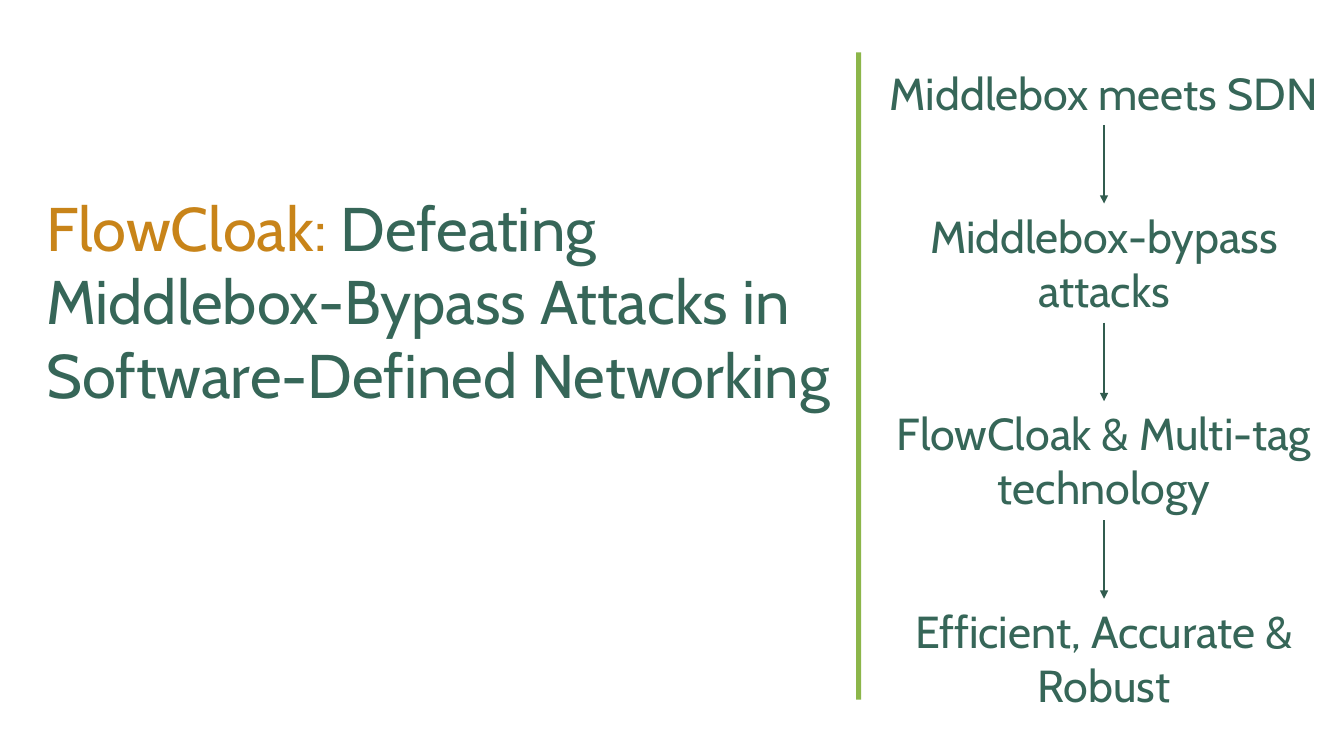
"""Builds the FlowCloak summary slide."""
from itertools import pairwise

from lxml import etree
from pptx import Presentation
from pptx import util as u
from pptx.dml.color import RGBColor
from pptx.enum import shapes, text
from pptx.oxml.ns import qn

HUES = {"green": "366658", "gold": "C88419", "lime": "8CB64A", "dark": "315C4F"}


def hue(name):
    return RGBColor.from_string(HUES[name])


def write(para, words, size=32, color="green", font="Cabin"):
    for i, line in enumerate(words.split("\n")):
        if i:
            para.add_line_break()
        run = para.add_run()
        run.text = line
        run.font.size = u.Pt(size)
        run.font.name = font
        run.font.color.rgb = hue(color)


class Board:
    def __init__(self, slide, size=32):
        self.slide = slide
        self.size = size

    def label(self, box, parts, size=None, align=text.PP_ALIGN.LEFT):
        frame = self.slide.shapes.add_textbox(*map(u.Inches, box)).text_frame
        frame.word_wrap = True
        frame.auto_size = text.MSO_AUTO_SIZE.SHAPE_TO_FIT_TEXT
        para = frame.paragraphs[0]
        para.alignment = align
        for words, color in parts:
            write(para, words, size=size or self.size, color=color)

    def bar(self, box, color):
        bar = self.slide.shapes.add_shape(
            shapes.MSO_SHAPE.RECTANGLE, *map(u.Inches, box))
        bar.shadow.inherit = False
        bar.fill.solid()
        bar.fill.fore_color.rgb = hue(color)
        bar.line.fill.background()

    def arrow(self, x, top, end, color="dark"):
        link = self.slide.shapes.add_connector(
            shapes.MSO_CONNECTOR.STRAIGHT, *map(u.Inches, (x, top, x, end)))
        link.line.color.rgb = hue(color)
        link.line.width = u.Pt(1)
        line = link.line._get_or_add_ln()
        etree.SubElement(line, qn("a:tailEnd"), type="triangle")
        etree.SubElement(link._element.spPr, qn("a:effectLst"))


def main():
    deck = Presentation()
    deck.slide_width, deck.slide_height = u.Inches(13.33), u.Inches(7.5)
    board = Board(deck.slides.add_slide(deck.slide_layouts[6]))

    board.bar((8.49, 0.52, 0.05, 6.42), "lime")
    board.label((0.36, 1.83, 8.1, 2.32), [
        ("FlowCloak: ", "gold"),
        ("Defeating\nMiddlebox-Bypass Attacks in\nSoftware-Defined Networking",
         "green"),
    ], size=44)

    left, wide, tall, gap = 8.68, 4.54, 1.18, 0.78
    steps = [("Middlebox meets SDN", 0.6, 0.64)]
    for words in ("Middlebox-bypass attacks", "FlowCloak & Multi-tag technology",
                  "Efficient, Accurate & Robust"):
        _, top, high = steps[-1]
        steps.append((words, top + high + gap, tall))

    for words, top, high in steps:
        board.label((left, top, wide, high), [(words, "green")],
                    align=text.PP_ALIGN.CENTER)
    for (_, top, high), (_, end, _) in pairwise(steps):
        board.arrow(left + wide / 2, top + high, end)

    deck.save("out.pptx")


if __name__ == "__main__":
    main()
